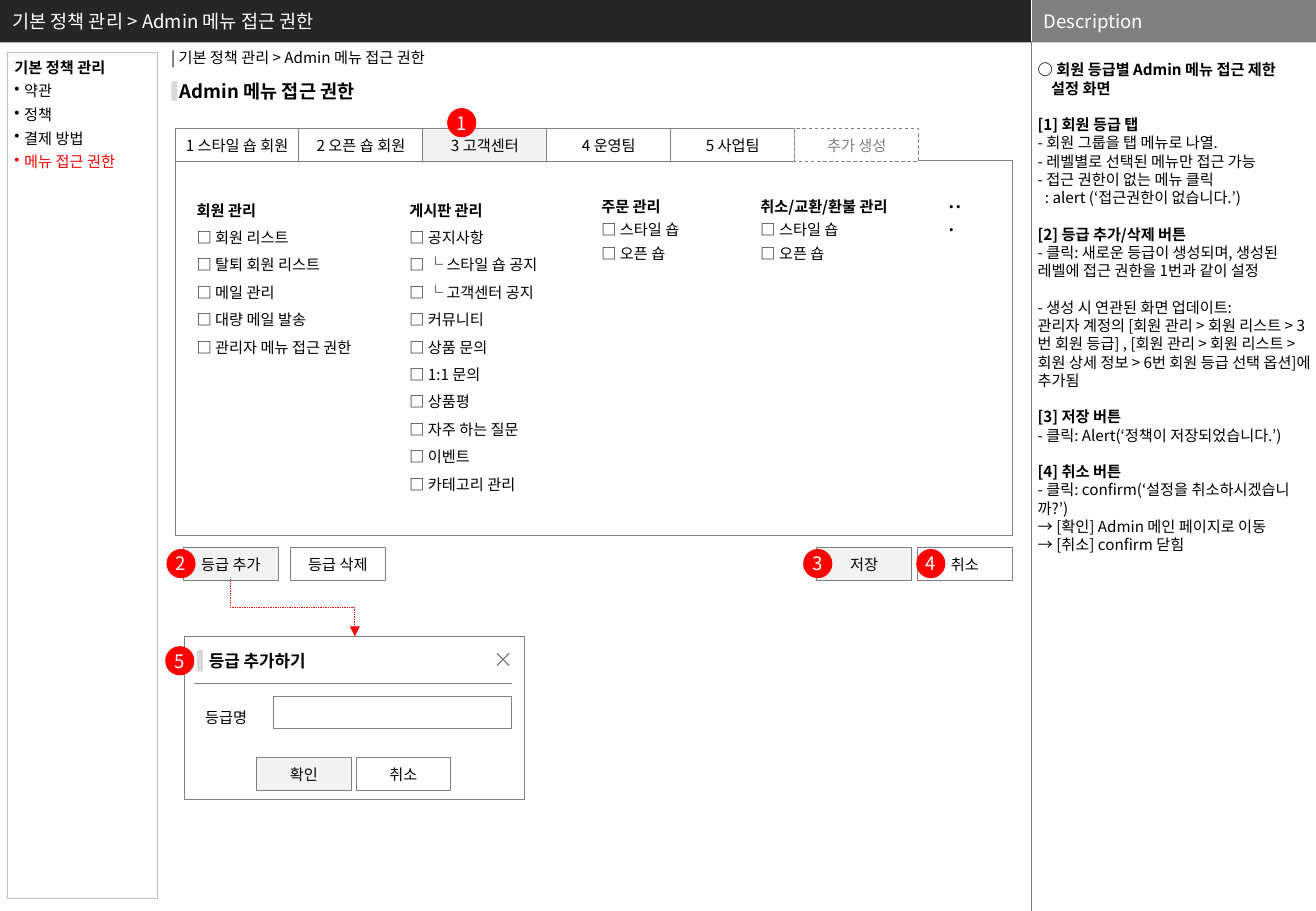
from dataclasses import dataclass

from lxml.etree import SubElement
from pptx import Presentation
from pptx.dml.color import RGBColor
from pptx.enum.dml import MSO_LINE
from pptx.enum.shapes import MSO_CONNECTOR as LINK, MSO_SHAPE as SHAPE
from pptx.enum.text import MSO_ANCHOR as ANCHOR, MSO_AUTO_SIZE as AUTO, PP_ALIGN as ALIGN
from pptx.oxml.ns import qn
from pptx.util import Inches, Pt

FONT = "Noto Sans CJK KR"
BLACK, WHITE, GRAY, RED = "000000", "FFFFFF", "808080", "FF0000"
PALE, MARK = "F2F2F2", "D9D9D9"


@dataclass
class Line:
    text: str
    bold: bool = False
    color: str = BLACK
    before: float = 0
    indent: float = 0
    bullet: bool = False
    spacing: object = None


HEADER = "기본 정책 관리 > Admin 메뉴 접근 권한"
SIDEBAR = ("기본 정책 관리", ["약관", "정책", "결제 방법", "메뉴 접근 권한"])
TABS = ["1 스타일 숍 회원", "2 오픈 숍 회원", "3 고객센터", "4 운영팀", "5 사업팀"]
ACTIVE_TAB = 2
NEW_TAB = "추가 생성"
MENUS = [
    (1.52, 1.63, 1.46, 1.5, "회원 관리",
     ["회원 리스트", "탈퇴 회원 리스트", "메일 관리", "대량 메일 발송", "관리자 메뉴 접근 권한"]),
    (3.27, 1.47, 2.6, 1.5, "게시판 관리",
     ["공지사항", "└ 스타일 숍 공지", "└ 고객센터 공지", "커뮤니티", "상품 문의", "1:1 문의",
      "상품평", "자주 하는 질문", "이벤트", "카테고리 관리"]),
    (4.85, 1.2, 0.69, Pt(14), "주문 관리", ["스타일 숍", "오픈 숍"]),
    (6.16, 1.52, 0.69, Pt(14), "취소/교환/환불 관리", ["스타일 숍", "오픈 숍"]),
]
BUTTONS = [
    (1.51, 4.51, "등급 추가", PALE), (2.39, 4.51, "등급 삭제", WHITE),
    (6.72, 4.51, "저장", PALE), (7.55, 4.51, "취소", WHITE),
    (2.11, 6.24, "확인", PALE), (2.93, 6.24, "취소", WHITE),
]
BADGES = [(3.68, 0.89), (1.37, 4.52), (6.61, 4.52), (7.54, 4.52), (1.36, 5.32)]
DESCRIPTION = [
    Line("○ 회원 등급별 Admin 메뉴 접근 제한", True),
    Line("설정 화면", True, indent=0.11),
    Line("[1] 회원 등급 탭", True, before=10.8),
    Line("- 회원 그룹을 탭 메뉴로 나열."),
    Line("- 레벨별로 선택된 메뉴만 접근 가능"),
    Line("- 접근 권한이 없는 메뉴 클릭"),
    Line(": alert (‘접근권한이 없습니다.’)", indent=0.06),
    Line("[2] 등급 추가/삭제 버튼", True, before=10.8),
    Line("- 클릭: 새로운 등급이 생성되며, 생성된 레벨에 접근 권한을 1번과 같이 설정"),
    Line("- 생성 시 연관된 화면 업데이트:", before=10.8),
    Line("관리자 계정의 [회원 관리 > 회원 리스트 > 3번 회원 등급] , [회원 관리 > 회원 리스트 > "
         "회원 상세 정보 > 6번 회원 등급 선택 옵션]에 추가됨"),
    Line("[3] 저장 버튼", True, before=10.8),
    Line("- 클릭: Alert(‘정책이 저장되었습니다.’)"),
    Line("[4] 취소 버튼", True, before=10.8),
    Line("- 클릭: confirm(‘설정을 취소하시겠습니까?’)"),
    Line("→ [확인] Admin 메인 페이지로 이동"),
    Line("→ [취소] confirm 닫힘"),
]

deck = Presentation()
deck.slide_width, deck.slide_height = Inches(10.83), Inches(7.5)
slide = deck.slides.add_slide(deck.slide_layouts[5])
shapes = slide.shapes


def rgb(value):
    return RGBColor.from_string(value)


def write(holder, lines, size=9, align=ALIGN.LEFT, anchor=ANCHOR.TOP, insets=(0.1, 0.05, 0.1, 0.05)):
    frame = holder.text_frame
    frame.auto_size, frame.word_wrap, frame.vertical_anchor = AUTO.NONE, True, anchor
    frame.margin_left, frame.margin_top, frame.margin_right, frame.margin_bottom = map(Inches, insets)
    for index, line in enumerate(lines):
        paragraph = frame.add_paragraph() if index else frame.paragraphs[0]
        paragraph.text, paragraph.alignment = line.text, align
        if line.spacing:
            paragraph.line_spacing = line.spacing
        if line.before:
            paragraph.space_before = Pt(line.before)
        properties = paragraph._p.get_or_add_pPr()
        if line.indent:
            properties.set("marL", str(Inches(line.indent)))
        if line.bullet:
            properties.set("indent", str(-Inches(line.indent)))
            SubElement(properties, qn("a:buChar"), char="•")
        font = paragraph.font
        font.size, font.bold, font.name = Pt(size), line.bold, FONT
        font.color.rgb = rgb(line.color)
        SubElement(properties.find(qn("a:defRPr")), qn("a:ea"), typeface=FONT)


def paint(shape, fill=None, outline=None, weight=0.5):
    shape.shadow.inherit = False
    if fill:
        shape.fill.solid()
        shape.fill.fore_color.rgb = rgb(fill)
    else:
        shape.fill.background()
    if outline:
        shape.line.color.rgb = rgb(outline)
        shape.line.width = Pt(weight)
    else:
        shape.line.fill.background()
    return shape


def block(left, top, width, height, fill=None, outline=None, weight=0.5, kind=SHAPE.RECTANGLE):
    return paint(shapes.add_shape(kind, *map(Inches, (left, top, width, height))), fill, outline, weight)


def label(left, top, width, height, lines, **style):
    write(shapes.add_textbox(*map(Inches, (left, top, width, height))), lines, **style)


def link(kind, ends, color, weight):
    connector = shapes.add_connector(kind, *map(Inches, ends))
    connector.line.color.rgb = rgb(color)
    connector.line.width = Pt(weight)
    SubElement(connector.element.spPr, qn("a:effectLst"))
    return connector


def button(left, top, width, text, fill, color=BLACK):
    shape = block(left, top, width, 0.27, fill, GRAY)
    write(shape, [Line(text, color=color)], align=ALIGN.CENTER, anchor=ANCHOR.MIDDLE, insets=(0.04,) * 4)
    return shape


title = shapes.title
title.left, title.top, title.width, title.height = map(Inches, (0, 0, 8.49, 0.35))
title.fill.solid()
title.fill.fore_color.rgb = rgb("262626")
write(title, [Line(HEADER, color=WHITE)], size=11, anchor=ANCHOR.MIDDLE)
write(block(8.49, 0, 2.34, 0.35, GRAY), [Line("Description", color=WHITE)], size=11, anchor=ANCHOR.MIDDLE)
link(LINK.STRAIGHT, (8.49, 0, 8.49, 0.35), WHITE, 0.25)
link(LINK.STRAIGHT, (8.49, 0.34, 8.49, 7.5), "7F7F7F", 0.25)
label(8.5, 0.35, 2.34, 7.15, DESCRIPTION, insets=(0.04, 0.15, 0.04, 0))

heading, entries = SIDEBAR
sidebar = [Line(heading, True)] + [
    Line(entry, color=RED if entry == entries[-1] else BLACK, indent=0.08, bullet=True, spacing=Pt(14))
    for entry in entries]
write(block(0.06, 0.43, 1.24, 6.97, None, "BFBFBF", 0.75), sidebar, insets=(0.06, 0.05, 0, 0.05))

label(1.31, 0.35, 2.56, 0.25, [Line("| " + HEADER)])
label(1.48, 0.66, 1.57, 0.19, [Line("Admin 메뉴 접근 권한", True)], size=11, insets=(0,) * 4)
block(1.41, 0.67, 0.05, 0.16, MARK)

block(1.44, 1.32, 6.89, 3.09, WHITE, GRAY)
for index, tab in enumerate(TABS):
    button(1.44 + 1.02 * index, 1.06, 1.02, tab, PALE if index == ACTIVE_TAB else WHITE)
new_tab = button(1.44 + 1.02 * len(TABS), 1.06, 1.02, NEW_TAB, WHITE, GRAY)
new_tab.line.dash_style = MSO_LINE.DASH

for left, width, height, spacing, heading, entries in MENUS:
    menu = [Line(heading, True, spacing=spacing)]
    menu += [Line("□ " + entry, spacing=spacing) for entry in entries]
    label(left, 1.53, width, height, menu)
label(7.71, 1.51, 0.33, 0.3, [Line("...", spacing=Pt(14))], size=14)

block(1.52, 5.24, 2.8, 1.34, WHITE, GRAY)
label(1.62, 5.31, 1.09, 0.27, [Line("등급 추가하기", True)], size=10)
block(1.62, 5.35, 0.05, 0.18, MARK)
link(LINK.STRAIGHT, (1.6, 5.63, 4.21, 5.63), GRAY, 0.5)
label(1.59, 5.63, 0.58, 0.4, [Line("등급명", spacing=2.0)])
block(2.25, 5.73, 1.96, 0.27, None, GRAY)

west, east, north, south = map(Inches, (4.09, 4.19, 5.38, 5.48))
cross = shapes.build_freeform(east, north)
cross.add_line_segments([(west, south)], close=False)
cross.move_to(west, north)
cross.add_line_segments([(east, south)], close=False)
paint(cross.convert_to_shape(), None, GRAY, 0.75)

for left, top, text, fill in BUTTONS:
    button(left, top, 0.78, text, fill)
for number, (left, top) in enumerate(BADGES, 1):
    write(block(left, top, 0.24, 0.24, RED, kind=SHAPE.OVAL), [Line(str(number), color=WHITE)],
          size=11, align=ALIGN.CENTER, anchor=ANCHOR.MIDDLE, insets=(0,) * 4)

start_x, start_y, end_x, end_y = 1.9, 4.77, 2.92, 5.24
middle_x, middle_y = (start_x + end_x) / 2, (start_y + end_y) / 2
half_drop, half_run = (end_y - start_y) / 2, (end_x - start_x) / 2
arrow = link(LINK.ELBOW, (middle_x + half_drop, middle_y - half_run,
                          middle_x - half_drop, middle_y + half_run), RED, 0.5)
arrow.element.spPr.find(qn("a:xfrm")).set("rot", str(270 * 60000))
arrow.line.dash_style = MSO_LINE.ROUND_DOT
SubElement(arrow.line._get_or_add_ln(), qn("a:tailEnd"), type="triangle")

deck.save("out.pptx")
